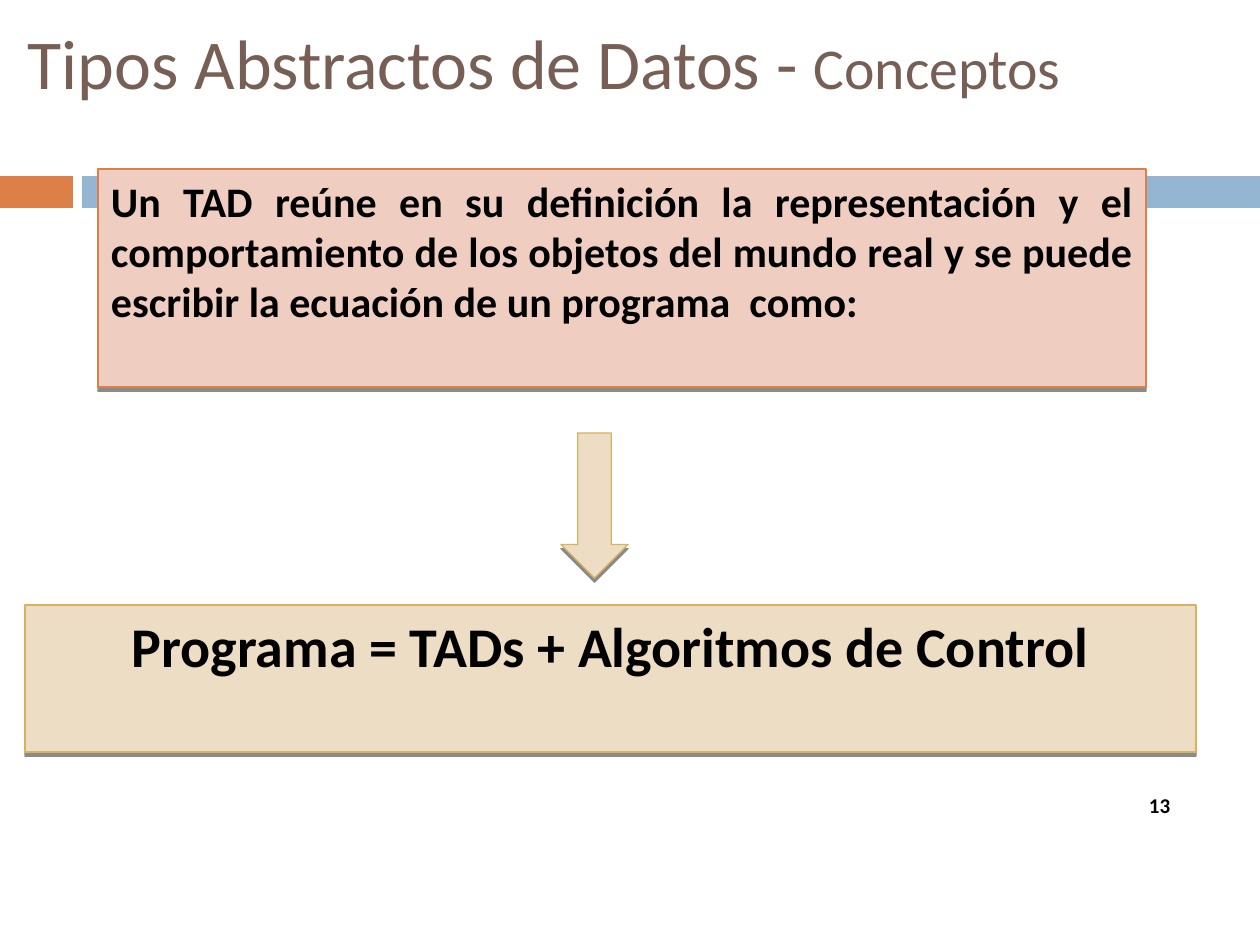
from lxml import etree
from pptx import Presentation
from pptx.dml.color import RGBColor
from pptx.enum.shapes import MSO_SHAPE
from pptx.enum.text import MSO_ANCHOR, PP_ALIGN
from pptx.oxml.ns import qn
from pptx.util import Emu, Pt

RECT, DOWN_ARROW = MSO_SHAPE.RECTANGLE, MSO_SHAPE.DOWN_ARROW
TOP, MIDDLE, BOTTOM = MSO_ANCHOR.TOP, MSO_ANCHOR.MIDDLE, MSO_ANCHOR.BOTTOM
LEFT, CENTER, JUSTIFY = PP_ALIGN.LEFT, PP_ALIGN.CENTER, PP_ALIGN.JUSTIFY

ORANGE, BLUE, BROWN = "DD8047", "94B6D2", "775F55"
PINK, SAND, GOLD, BLACK = "EFCDC1", "EDDDC4", "D8B25C", "000000"


def px(n):
    return Emu(round(n * 914400 / 126))


def rgb(color):
    return RGBColor.from_string(color)


class Deck:
    font = "Calibri"
    border = Pt(0.79)
    insets = (13, 6)

    def __init__(self, width, height):
        self.prs = Presentation()
        self.prs.slide_width, self.prs.slide_height = px(width), px(height)
        self.s = self.prs.slides.add_slide(self.prs.slide_layouts[6])

    def shape(self, kind, box, fill, line=None):
        sp = self.s.shapes.add_shape(kind, *map(px, box))
        sp.shadow.inherit = False
        sp.fill.solid()
        sp.fill.fore_color.rgb = rgb(fill)
        if line:
            sp.line.color.rgb = rgb(line)
            sp.line.width = self.border
            self.drop_shadow(sp)
        else:
            sp.line.fill.background()
        return sp

    def drop_shadow(self, sp):
        effects = sp._element.spPr.find(qn("a:effectLst"))
        shadow = etree.SubElement(effects, qn("a:outerShdw"), blurRad="0",
                                  dist=str(Pt(2.4)), dir="5400000",
                                  algn="ctr", rotWithShape="0")
        color = etree.SubElement(shadow, qn("a:srgbClr"), val=BLACK)
        etree.SubElement(color, qn("a:alpha"), val="45000")

    def text_box(self, box, runs, **style):
        sp = self.s.shapes.add_textbox(*map(px, box))
        self.label(sp, runs, **style)

    def label(self, sp, runs, color=BLACK, bold=True, align=LEFT, anchor=TOP):
        tf = sp.text_frame
        tf.word_wrap = True
        tf.vertical_anchor = anchor
        tf.margin_left = tf.margin_right = px(self.insets[0])
        tf.margin_top = tf.margin_bottom = px(self.insets[1])
        p = tf.paragraphs[0]
        p.alignment = align
        for text, size in runs:
            r = p.add_run()
            r.text = text
            r.font.name = self.font
            r.font.size = Pt(size)
            r.font.bold = bold
            r.font.color.rgb = rgb(color)


def main():
    deck = Deck(1260, 945)
    deck.shape(RECT, (0, 176, 73, 32), ORANGE)
    deck.shape(RECT, (82, 176, 1178, 32), BLUE)
    deck.text_box((15, 9, 1245, 105),
                  [("Tipos Abstractos de Datos - ", 40), ("Conceptos", 33)],
                  color=BROWN, bold=False, anchor=MIDDLE)

    definition = deck.shape(RECT, (98, 169, 1048, 218), PINK, ORANGE)
    deck.label(definition, [(
        "Un TAD reúne en su definición la representación y el "
        "comportamiento de los objetos del mundo real y se puede "
        "escribir la ecuación de un programa  como:", 24)], align=JUSTIFY)

    equation = deck.shape(RECT, (25, 605, 1171, 147), SAND, GOLD)
    deck.label(equation, [("Programa = TADs + Algoritmos de Control", 32)],
               align=CENTER)

    deck.shape(DOWN_ARROW, (561, 433, 67, 145), SAND, GOLD)
    deck.text_box((1136, 742, 52, 82), [("13", 12)],
                  align=JUSTIFY, anchor=BOTTOM)
    deck.prs.save("out.pptx")


if __name__ == "__main__":
    main()
